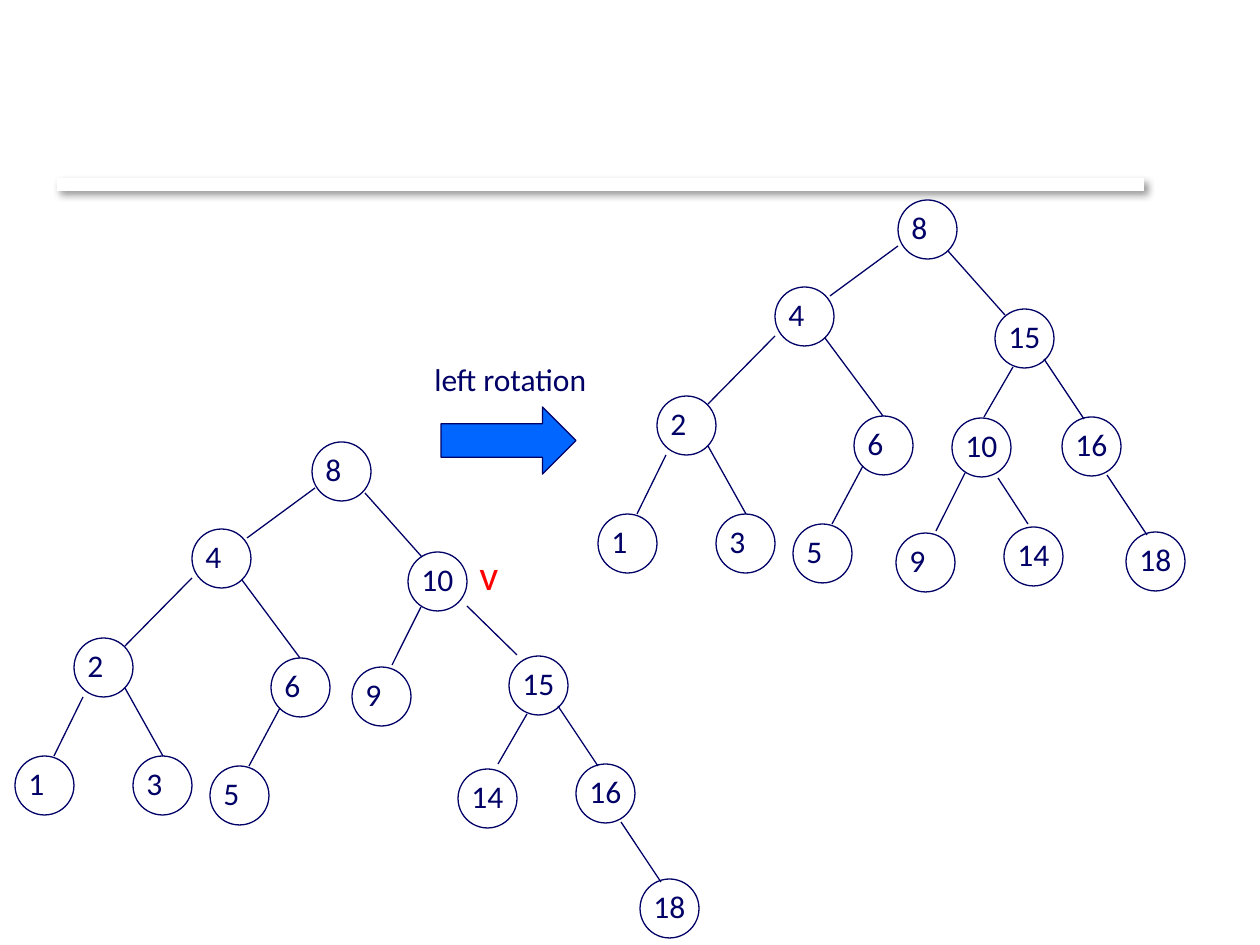
from lxml import etree
from pptx import Presentation
from pptx.dml.color import RGBColor
from pptx.enum.shapes import MSO_CONNECTOR, MSO_SHAPE
from pptx.enum.text import MSO_AUTO_SIZE
from pptx.oxml import parse_xml
from pptx.oxml.ns import nsdecls, qn
from pptx.util import Emu, Pt

RECTANGLE = MSO_SHAPE.RECTANGLE
OVAL = MSO_SHAPE.OVAL
RIGHT_ARROW = MSO_SHAPE.RIGHT_ARROW
STRAIGHT = MSO_CONNECTOR.STRAIGHT
FIT_TEXT = MSO_AUTO_SIZE.SHAPE_TO_FIT_TEXT

EMU_PER_PX = 914400 / 126
BLANK_LAYOUT = 6
COLORS = {"navy": "000066", "blue": "0066FF", "red": "FF0000", "white": "FFFFFF"}
NODE_SIZE = 59

# Each fragment of the tree keeps its form during the rotation and only moves.
# Nodes are (key, left, top); edges are (x1, y1, x2, y2), before the rotation.
FRAGMENTS = [
    {
        "shift": (583, -242),
        "nodes": [(4, 192, 529), (2, 74, 638), (1, 15, 756),
                  (3, 133, 756), (6, 271, 658), (5, 210, 766)],
        "edges": [(315, 488, 247, 538), (365, 493, 422, 557),
                  (125, 646, 192, 578), (242, 580, 300, 658),
                  (83, 697, 54, 756), (125, 688, 163, 756),
                  (249, 766, 280, 708)],
    },
    {
        "shift": (486, -347),
        "nodes": [(15, 509, 656), (16, 576, 764), (18, 640, 879)],
        "edges": [(498, 764, 527, 714), (558, 706, 598, 766),
                  (621, 822, 661, 882)],
    },
    {
        "shift": (544, -134),
        "nodes": [(10, 408, 552), (9, 352, 667)],
        "edges": [(392, 665, 421, 607)],
    },
]
# The root, node 14 and the edge below node 10 are placed for each tree.
BEFORE = {"nodes": [(8, 312, 442), (14, 458, 769)], "edges": [(467, 606, 517, 655)]}
AFTER = {"nodes": [(8, 898, 200), (14, 1004, 527)], "edges": [(998, 478, 1028, 524)]}


def px(*lengths):
    return [Emu(round(length * EMU_PER_PX)) for length in lengths]


def color(name):
    return RGBColor.from_string(COLORS[name])


def write_text(shape, text, size=18, ink="navy", font="Calibri"):
    frame = shape.text_frame
    frame.word_wrap = False
    frame.auto_size = FIT_TEXT
    run = frame.paragraphs[0].add_run()
    run.text = text
    run.font.name = font
    run.font.size = Pt(size)
    run.font.color.rgb = color(ink)


class TreeSlide:
    """Holds the slide and the line style shared by its elements."""

    def __init__(self, slide, ink="navy", line_width=0.75):
        self.slide = slide
        self.ink = ink
        self.line_width = Pt(line_width)

    def outline(self, item):
        item.line.color.rgb = color(self.ink)
        item.line.width = self.line_width

    def shape(self, kind, left, top, width, height, fill=None, parent=None):
        shapes = (parent or self.slide).shapes
        shape = shapes.add_shape(kind, *px(left, top, width, height))
        shape.shadow.inherit = False
        if fill:
            shape.fill.solid()
            shape.fill.fore_color.rgb = color(fill)
        else:
            shape.fill.background()
        self.outline(shape)
        return shape

    def label(self, text, left, top, width, height, parent=None, **text_format):
        shapes = (parent or self.slide).shapes
        box = shapes.add_textbox(*px(left, top, width, height))
        write_text(box, text, **text_format)

    def node(self, key, left, top):
        group = self.slide.shapes.add_group_shape()
        self.shape(OVAL, left, top, NODE_SIZE, NODE_SIZE, parent=group)
        width = 42 if key < 10 else 57
        self.label(str(key), left + 1, top + 2, width, 51, parent=group)

    def edge(self, x1, y1, x2, y2):
        connector = self.slide.shapes.add_connector(STRAIGHT, *px(x1, y1, x2, y2))
        self.outline(connector)
        etree.SubElement(connector._element.spPr, qn("a:effectLst"))

    def fragment(self, fragment, dx=0, dy=0):
        """Draw the nodes and edges of one fragment, moved by dx and dy."""
        for x1, y1, x2, y2 in fragment["edges"]:
            self.edge(x1 + dx, y1 + dy, x2 + dx, y2 + dy)
        for key, left, top in fragment["nodes"]:
            self.node(key, left + dx, top + dy)

    def title_rule(self, left, top, width, height):
        """Draw a white bar that shows only by its soft shadow."""
        bar = self.shape(RECTANGLE, left, top, width, height, fill="white")
        bar.line.fill.background()
        properties = bar._element.spPr
        properties.remove(properties.find(qn("a:effectLst")))
        properties.append(parse_xml(
            f'<a:effectLst {nsdecls("a")}>'
            f'<a:outerShdw blurRad="{Pt(4)}" dist="{Pt(3)}" dir="2700000" rotWithShape="0">'
            '<a:srgbClr val="000000"><a:alpha val="40000"/></a:srgbClr>'
            '</a:outerShdw></a:effectLst>'))


def main():
    presentation = Presentation()
    presentation.slide_width, presentation.slide_height = px(1260, 945)
    layout = presentation.slide_layouts[BLANK_LAYOUT]
    tree_slide = TreeSlide(presentation.slides.add_slide(layout))

    tree_slide.title_rule(57, 178, 1087, 13)
    for fragment in FRAGMENTS:
        tree_slide.fragment(fragment)
        tree_slide.fragment(fragment, *fragment["shift"])
    tree_slide.fragment(BEFORE)
    tree_slide.fragment(AFTER)

    tree_slide.label("v", 467, 542, 44, 63, size=24, ink="red")
    tree_slide.shape(RIGHT_ARROW, 441, 407, 135, 67, fill="blue")
    tree_slide.label("left rotation", 422, 354, 179, 51)
    presentation.save("out.pptx")


if __name__ == "__main__":
    main()
